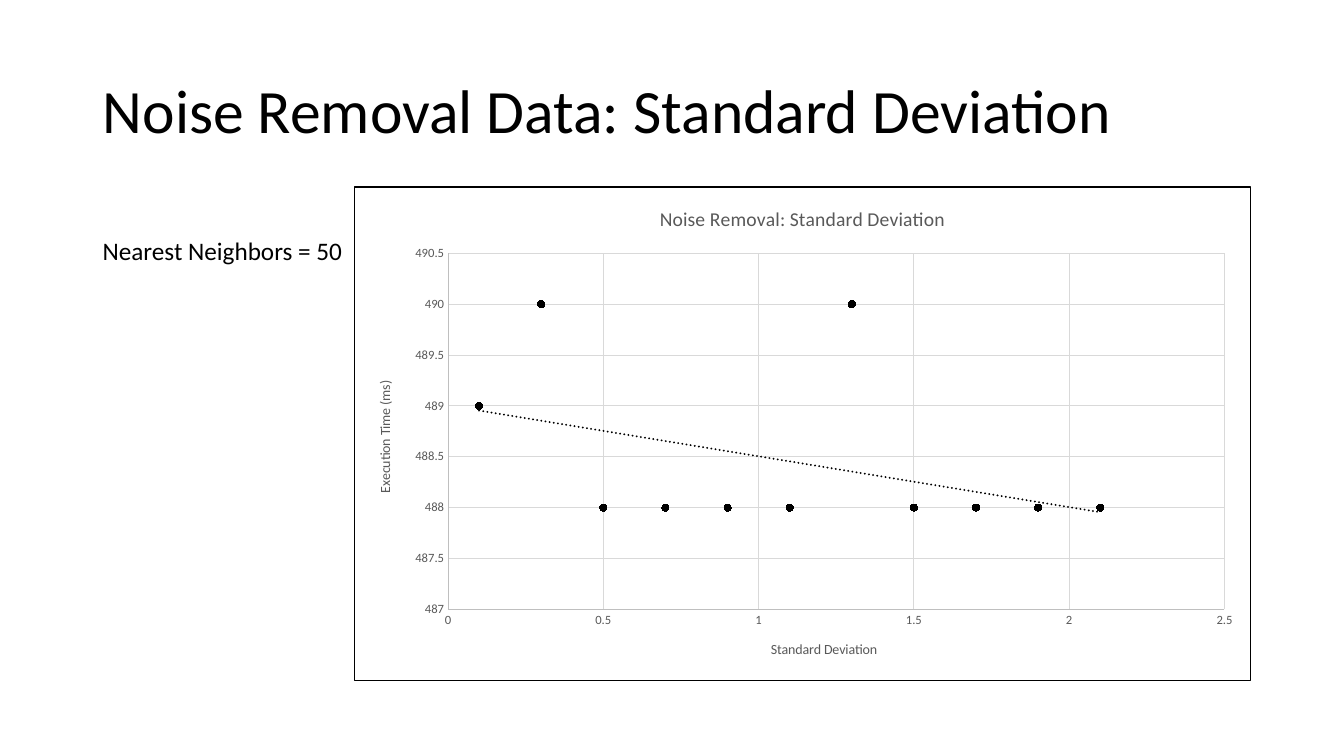
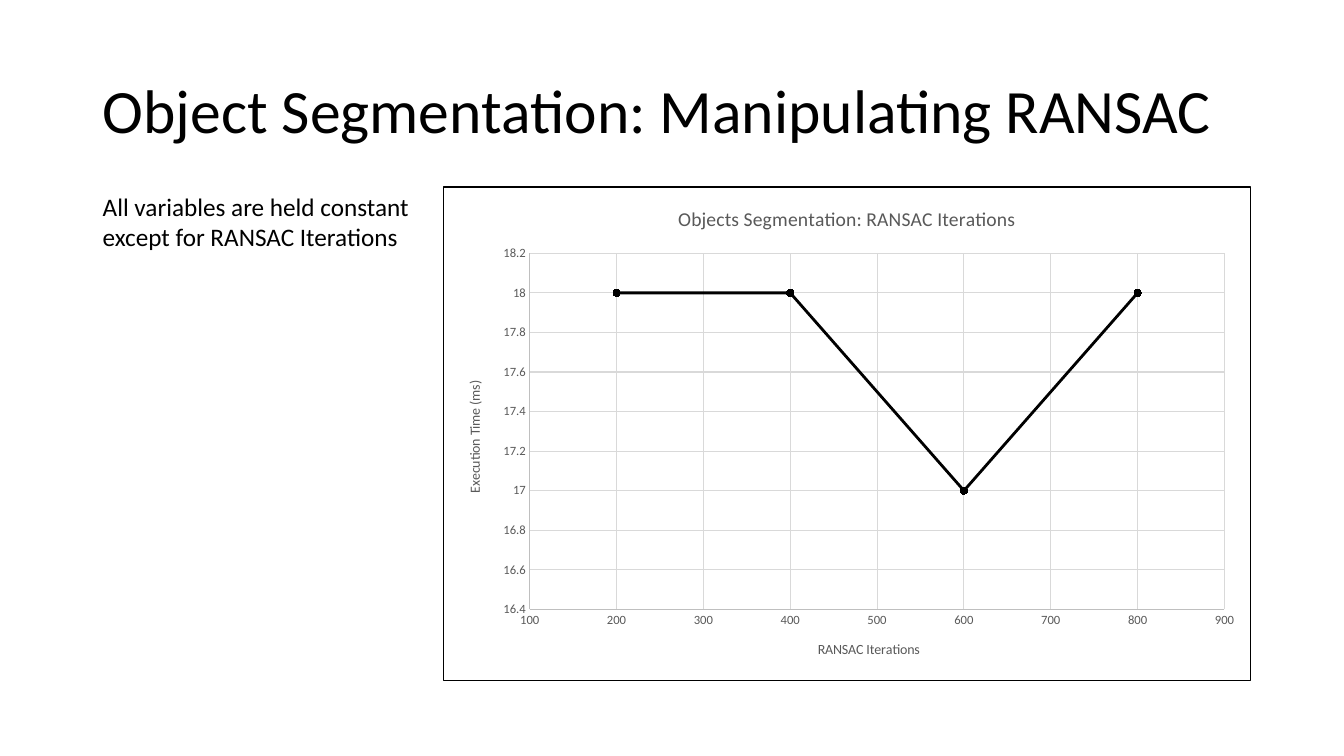
from lxml.etree import SubElement
from pptx import Presentation
from pptx.chart.data import XyChartData
from pptx.dml.color import RGBColor
from pptx.enum.chart import XL_AXIS_CROSSES as Crosses
from pptx.enum.chart import XL_CHART_TYPE as ChartType
from pptx.enum.chart import XL_MARKER_STYLE as Marker
from pptx.enum.chart import XL_TICK_MARK as TickMark
from pptx.enum.text import MSO_ANCHOR as Anchor
from pptx.enum.text import MSO_AUTO_SIZE as AutoSize
from pptx.enum.text import PP_ALIGN as Align
from pptx.oxml import parse_xml
from pptx.oxml.ns import nsdecls, qn
from pptx.util import Inches, Pt

FONT = "Calibri"
COLORS = {"ink": "000000", "paper": "FFFFFF", "label": "595959",
          "axis": "BFBFBF", "grid": "D9D9D9"}
LEFT, RIGHT = 0.92, 12.41
CHART_TOP, CHART_HEIGHT = 1.85, 4.91
PLOT_TOP, PLOT_RIGHT, PLOT_BOTTOM = 0.66, 0.26, 0.71


def rgb(name):
    return RGBColor.from_string(COLORS[name])


def style_font(font, size, color):
    font.name = FONT
    font.size = Pt(size)
    font.bold = False
    font.color.rgb = rgb(color)


def style_line(line, color, width):
    line.color.rgb = rgb(color)
    line.width = Pt(width)


def add_titled_slide(deck, text):
    page = deck.slides.add_slide(deck.slide_layouts[5])
    title = page.shapes.title
    title.left, title.top = Inches(LEFT), Inches(0.4)
    title.width, title.height = Inches(11.5), Inches(1.45)
    frame = title.text_frame
    frame.text = text
    frame.auto_size = AutoSize.NONE
    frame.vertical_anchor = Anchor.MIDDLE
    para = frame.paragraphs[0]
    para.alignment = Align.LEFT
    para.line_spacing = 0.9
    style_font(para.runs[0].font, 44, "ink")
    return page


def add_note(page, text, top, width, height):
    box = page.shapes.add_textbox(Inches(LEFT), Inches(top), Inches(width), Inches(height))
    frame = box.text_frame
    frame.word_wrap = True
    frame.text = text
    style_font(frame.paragraphs[0].runs[0].font, 18, "ink")


def set_chart_text(frame, text, size):
    frame.text = text
    style_font(frame.paragraphs[0].runs[0].font, size, "label")


def style_axis(axis, title, scale):
    axis.minimum_scale, axis.maximum_scale, axis.major_unit = scale
    axis.crosses = Crosses.MINIMUM
    axis.major_tick_mark = axis.minor_tick_mark = TickMark.NONE
    axis.has_major_gridlines = True
    style_line(axis.major_gridlines.format.line, "grid", 0.75)
    style_line(axis.format.line, "axis", 0.75)
    style_font(axis.tick_labels.font, 9, "label")
    axis.tick_labels.number_format = "General"
    axis.tick_labels.number_format_is_linked = False
    set_chart_text(axis.axis_title.text_frame, title, 10)


def frame_chart(chart):
    """Give the chart area square corners, a white fill and a thin outline."""
    body = chart.element.find(qn("c:chart"))
    body.addprevious(parse_xml(f'<c:roundedCorners {nsdecls("c")} val="0"/>'))
    body.addnext(parse_xml(
        f'<c:spPr {nsdecls("c", "a")}>'
        f'<a:solidFill><a:srgbClr val="{COLORS["paper"]}"/></a:solidFill>'
        f'<a:ln w="{Pt(0.75)}"><a:solidFill><a:srgbClr val="{COLORS["ink"]}"/>'
        '</a:solidFill></a:ln></c:spPr>'))


def place_plot(chart, width, plot_left):
    """Fix the inner plot area by its margins inside the chart."""
    area = chart.element.find(".//" + qn("c:plotArea"))
    for old in area.findall(qn("c:layout")):
        area.remove(old)
    layout = parse_xml(f'<c:layout {nsdecls("c")}/>')
    area.insert(0, layout)
    manual = SubElement(layout, qn("c:manualLayout"))
    settings = {
        "layoutTarget": "inner", "xMode": "edge", "yMode": "edge",
        "x": plot_left / width,
        "y": PLOT_TOP / CHART_HEIGHT,
        "w": (width - plot_left - PLOT_RIGHT) / width,
        "h": (CHART_HEIGHT - PLOT_TOP - PLOT_BOTTOM) / CHART_HEIGHT,
    }
    for tag, value in settings.items():
        SubElement(manual, qn(f"c:{tag}")).set("val", str(value))


def add_trendline(chart):
    x_values = chart.element.find(".//" + qn("c:xVal"))
    x_values.addprevious(parse_xml(
        f'<c:trendline {nsdecls("c", "a")}><c:spPr><a:ln w="{Pt(1.5)}" cap="rnd">'
        f'<a:solidFill><a:srgbClr val="{COLORS["ink"]}"/></a:solidFill>'
        '<a:prstDash val="sysDot"/></a:ln></c:spPr>'
        '<c:trendlineType val="linear"/><c:dispRSqr val="0"/><c:dispEq val="0"/>'
        '</c:trendline>'))


def add_scatter(page, left, plot_left, title, x_title, points, x_scale, y_scale, joined):
    data = XyChartData()
    series_data = data.add_series("Series 1")
    for x, y in points:
        series_data.add_data_point(x, y)
    kind = ChartType.XY_SCATTER_LINES if joined else ChartType.XY_SCATTER
    width = RIGHT - left
    chart = page.shapes.add_chart(kind, Inches(left), Inches(CHART_TOP), Inches(width),
                                  Inches(CHART_HEIGHT), data).chart
    style_font(chart.font, 10, "ink")
    chart.has_legend = False
    chart.has_title = True
    set_chart_text(chart.chart_title.text_frame, title, 14)
    chart.chart_title.include_in_layout = False
    style_axis(chart.category_axis, x_title, x_scale)
    style_axis(chart.value_axis, "Execution Time (ms)", y_scale)
    turned = chart.value_axis.axis_title.text_frame._txBody.find(qn("a:bodyPr"))
    turned.set("rot", "-5400000")
    turned.set("vert", "horz")

    plot = chart.plots[0]
    plot.vary_by_categories = False
    series = plot.series[0]
    series.marker.style = Marker.CIRCLE
    series.marker.size = 5
    series.marker.format.fill.solid()
    series.marker.format.fill.fore_color.rgb = rgb("ink")
    style_line(series.marker.format.line, "ink", 0.75)
    if joined:
        series.smooth = False
        style_line(series.format.line, "ink", 2)
    else:
        series.format.line.fill.background()
    frame_chart(chart)
    place_plot(chart, width, plot_left)
    return chart


def add_noise_slide(deck):
    page = add_titled_slide(deck, "Noise Removal Data: Standard Deviation")
    times = [489, 490, 488, 488, 488, 488, 490, 488, 488, 488, 488]
    points = [(round(0.1 + 0.2 * step, 1), time) for step, time in enumerate(times)]
    chart = add_scatter(page, 3.51, 0.93, "Noise Removal: Standard Deviation",
                        "Standard Deviation", points, (0, 2.5, 0.5),
                        (487, 490.5, 0.5), joined=False)
    add_trendline(chart)
    add_note(page, "Nearest Neighbors = 50", 2.29, 2.6, 0.4)


def add_ransac_slide(deck):
    page = add_titled_slide(deck, "Object Segmentation: Manipulating RANSAC")
    add_note(page, "All variables are held constant except for RANSAC Iterations",
             1.85, 3.31, 0.71)
    points = [(200, 18), (400, 18), (600, 17), (800, 18)]
    add_scatter(page, 4.39, 0.86, "Objects Segmentation: RANSAC Iterations",
                "RANSAC Iterations", points, (100, 900, 100),
                (16.4, 18.2, 0.2), joined=True)


def main():
    deck = Presentation()
    deck.slide_width, deck.slide_height = Inches(13.33), Inches(7.5)
    add_noise_slide(deck)
    add_ransac_slide(deck)
    deck.save("out.pptx")


if __name__ == "__main__":
    main()
